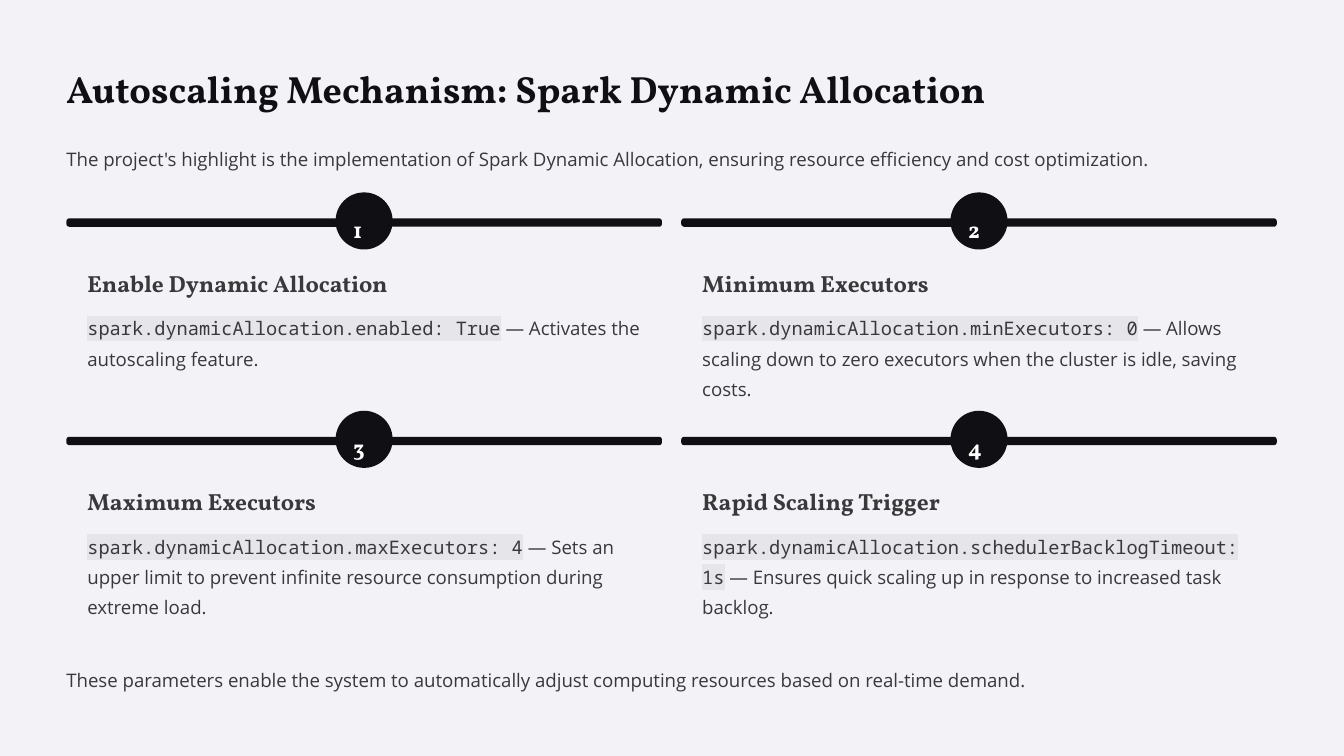
"""Build a slide on dynamic allocation with a two by two grid of settings."""
from lxml import etree
from pptx import Presentation
from pptx.dml.color import RGBColor
from pptx.enum.shapes import MSO_SHAPE
from pptx.enum.text import MSO_AUTO_SIZE
from pptx.oxml.ns import qn
from pptx.util import Inches, Pt

ROUND = MSO_SHAPE.ROUNDED_RECTANGLE
FIXED = MSO_AUTO_SIZE.NONE
PALE = RGBColor(0xF3, 0xF3, 0xF7)
INK = RGBColor(0x10, 0x10, 0x14)
GREY = RGBColor(0x39, 0x39, 0x3C)
WHITE = RGBColor(0xFF, 0xFF, 0xFF)
MARK = RGBColor(0xE6, 0xE6, 0xEA)
SERIF, SANS, MONO = "Vollkorn", "Open Sans", "Noto Sans Mono"

LEFT, TOP = 0.79, 2.6
WIDE, BAR, DISC = 7.09, 0.1, 0.68
COL, ROW = 7.32, 2.6
PAD = 0.25

CARDS = [
    ("Enable Dynamic Allocation", "spark.dynamicAllocation.enabled: True",
     " — Activates the autoscaling feature."),
    ("Minimum Executors", "spark.dynamicAllocation.minExecutors: 0",
     " — Allows scaling down to zero executors when the cluster is idle, saving costs."),
    ("Maximum Executors", "spark.dynamicAllocation.maxExecutors: 4",
     " — Sets an upper limit to prevent infinite resource consumption during extreme load."),
    ("Rapid Scaling Trigger", "spark.dynamicAllocation.schedulerBacklogTimeout: 1s",
     " — Ensures quick scaling up in response to increased task backlog."),
]

deck = Presentation()
deck.slide_width, deck.slide_height = Inches(16), Inches(9)
slide = deck.slides.add_slide(deck.slide_layouts[6])
slide.background.fill.solid()
slide.background.fill.fore_color.rgb = PALE


def write(box, parts, size, lead, color):
    """Add a text box of (text, font) parts, marking the code."""
    frame = slide.shapes.add_textbox(*map(Inches, box)).text_frame
    frame.margin_left = frame.margin_right = 0
    frame.margin_top = frame.margin_bottom = 0
    frame.word_wrap = True
    frame.auto_size = FIXED
    para = frame.paragraphs[0]
    para.line_spacing = Pt(lead)
    for text, face in parts:
        run = para.add_run()
        run.text = text
        font = run.font
        font.size, font.name, font.bold = Pt(size), face, face == SERIF
        font.color.rgb = color
        if face == MONO:
            light = etree.Element(qn("a:highlight"))
            etree.SubElement(light, qn("a:srgbClr")).set("val", str(MARK))
            run.font._element.find(qn("a:solidFill")).addnext(light)


def draw(box, bend):
    """Add a dark shape with rounded corners."""
    shape = slide.shapes.add_shape(ROUND, *map(Inches, box))
    shape.adjustments[0] = bend
    shape.shadow.inherit = False
    shape.fill.solid()
    shape.fill.fore_color.rgb = INK
    shape.line.fill.background()


write((LEFT, 0.76, 11.2, 0.57),
      [("Autoscaling Mechanism: Spark Dynamic Allocation", SERIF)], 32.5, 40.5, INK)
write((LEFT, 1.67, 14.41, 0.36),
      [("The project's highlight is the implementation of Spark Dynamic Allocation, "
        "ensuring resource efficiency and cost optimization.", SANS)], 16, 26, GREY)

for i, (head, code, note) in enumerate(CARDS):
    row, col = divmod(i, 2)
    x, y = LEFT + col * COL, TOP + row * ROW
    mid = x + WIDE / 2
    draw((x, y, WIDE, BAR), 0.34)
    draw((mid - DISC / 2, y - 0.31, DISC, DISC), 0.5)
    write((mid - 0.13, y - 0.14, 0.27, 0.34), [(str(i + 1), SERIF)], 19.5, 31, WHITE)
    write((x + PAD, y + 0.59, 3.75 if i == 0 else 2.9, 0.35),
          [(head, SERIF)], 20, 25, GREY)
    write((x + PAD, y + 1.08, WIDE - 2 * PAD, 1.09),
          [(code, MONO), (note, SANS)], 16, 26, GREY)

write((LEFT, 7.87, 14.41, 0.36),
      [("These parameters enable the system to automatically adjust computing "
        "resources based on real-time demand.", SANS)], 16, 26, GREY)

deck.save("out.pptx")
